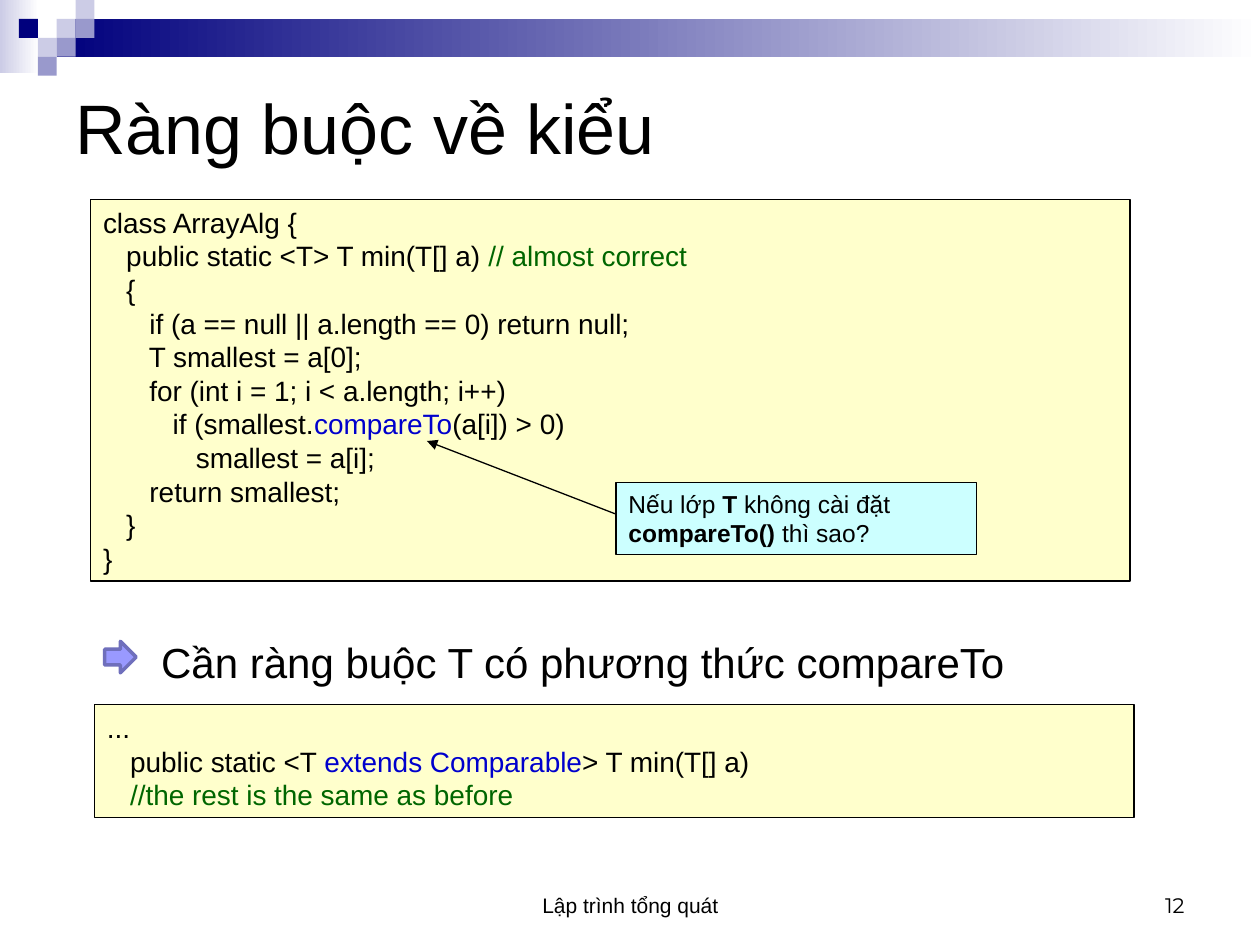
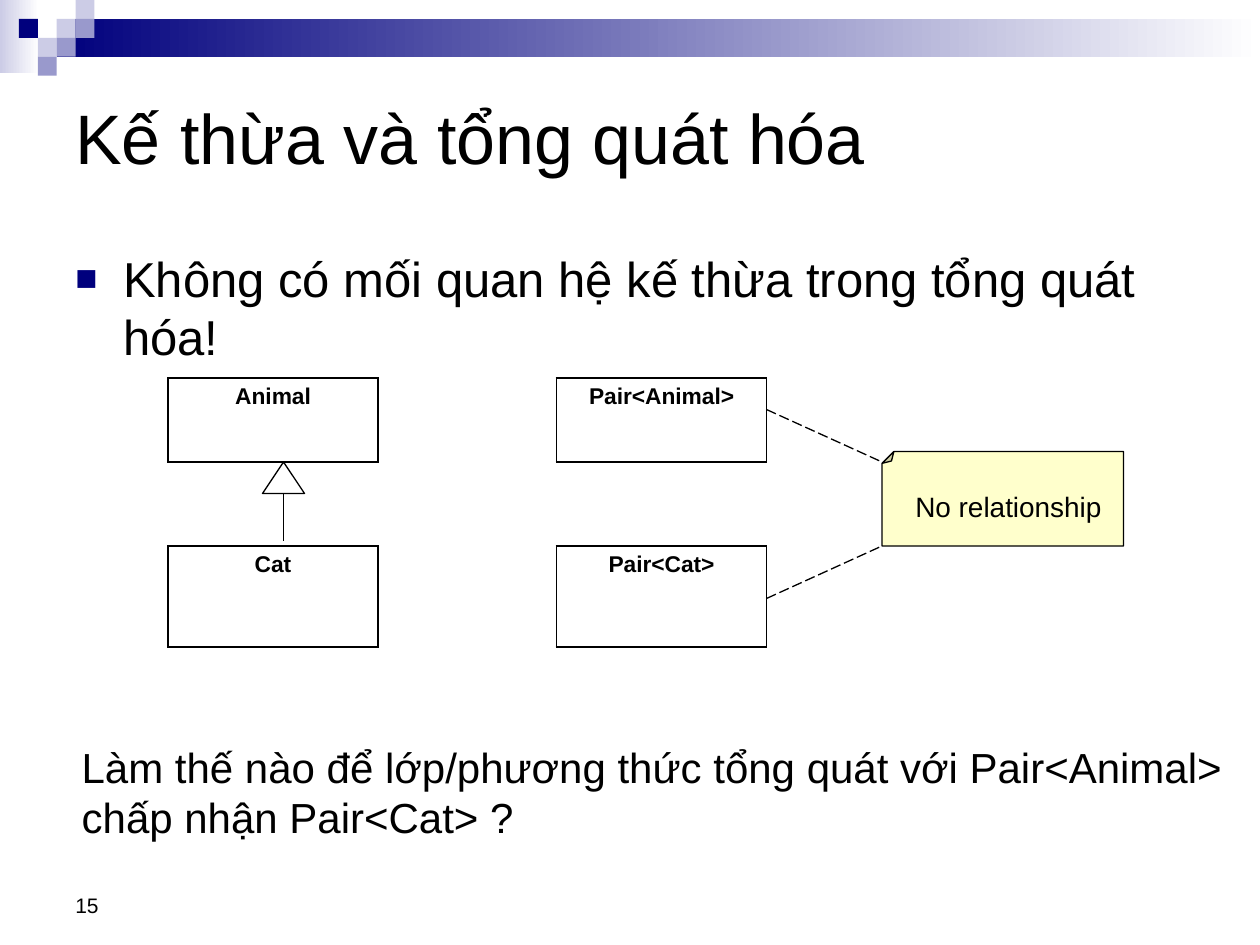
import dataclasses

import lxml.etree
import pptx
import pptx.dml.color
import pptx.enum.dml
import pptx.enum.shapes
import pptx.enum.text
import pptx.oxml.ns
import pptx.util

Pt = pptx.util.Pt
qn = pptx.oxml.ns.qn
PRESET = pptx.enum.shapes.MSO_SHAPE
ALIGN = pptx.enum.text.PP_ALIGN
ANCHOR = pptx.enum.text.MSO_ANCHOR
GROW = pptx.enum.text.MSO_AUTO_SIZE.SHAPE_TO_FIT_TEXT


@dataclasses.dataclass(frozen=True)
class Theme:
    """Colours, fonts and type sizes shared by the slides."""
    ink: str = "000000"
    paper: str = "FFFFFF"
    navy: str = "00007D"
    lilac: str = "9999CC"
    mist: str = "CCCCE6"
    code_fill: str = "FFFFCC"
    callout_fill: str = "CCFFFF"
    arrow_fill: str = "9999FF"
    arrow_line: str = "6F6FBC"
    comment: str = "006600"
    keyword: str = "0000CC"
    font: str = "Arial"
    number_font: str = "Montserrat"
    title_size: float = 40
    body_size: float = 28
    remark_size: float = 24
    code_size: float = 16
    callout_size: float = 14
    class_size: float = 13
    footer_size: float = 12
    thin: float = 0.75
    border: float = 1.08


THEME = Theme()
COMMENT = {"color": THEME.comment}
KEYWORD = {"color": THEME.keyword}
BOLD = {"bold": True}


def rgb(value):
    """Return a colour object for a hex value."""
    return pptx.dml.color.RGBColor.from_string(value)


def apply(target, formats):
    """Set each format value on the target."""
    for name, value in formats.items():
        setattr(target, name, value)


def write(frame, paragraphs, size, align=ALIGN.LEFT, font=THEME.font, bold=False):
    """Fill a text frame; a paragraph is a list of strings or (string, style) pairs."""
    for index, pieces in enumerate(paragraphs):
        paragraph = frame.paragraphs[0] if index == 0 else frame.add_paragraph()
        paragraph.alignment = align
        for piece in pieces:
            words, style = (piece, {}) if isinstance(piece, str) else piece
            run = paragraph.add_run()
            run.text = words
            apply(run.font, {"name": font, "size": Pt(size), "bold": style.get("bold", bold)})
            run.font.color.rgb = rgb(style.get("color", THEME.ink))


def add_preset(slide, preset, box, fill=None, line=None, weight=THEME.thin):
    """Add a preset shape without shadow."""
    shape = slide.shapes.add_shape(preset, *map(Pt, box))
    shape.shadow.inherit = False
    if fill:
        shape.fill.solid()
        shape.fill.fore_color.rgb = rgb(fill)
    else:
        shape.fill.background()
    if line:
        shape.line.color.rgb = rgb(line)
        shape.line.width = Pt(weight)
    else:
        shape.line.fill.background()
    return shape


def add_fade(slide, box, start):
    """Add a rectangle that fades from a colour to the paper."""
    fade = add_preset(slide, PRESET.RECTANGLE, box)
    fade.fill.gradient()
    fade.fill.gradient_angle = 0
    for stop, color in zip(fade.fill.gradient_stops, (start, THEME.paper)):
        stop.color.rgb = rgb(color)


def add_text(slide, box, paragraphs, size, frame_formats=None, **style):
    """Add a text box and return its frame."""
    frame = slide.shapes.add_textbox(*map(Pt, box)).text_frame
    apply(frame, {"word_wrap": True, **(frame_formats or {})})
    write(frame, paragraphs, size, **style)
    return frame


def add_panel(slide, box, paragraphs, fill, size):
    """Add a filled and outlined box of left-aligned text."""
    panel = add_preset(slide, PRESET.RECTANGLE, box, fill, THEME.ink)
    apply(panel.text_frame, {"word_wrap": True, "auto_size": GROW, "vertical_anchor": ANCHOR.TOP})
    write(panel.text_frame, paragraphs, size)


def add_note(slide, box):
    """Add a sheet with its top left corner folded."""
    sheet = add_preset(slide, PRESET.FOLDED_CORNER, box, THEME.code_fill, THEME.ink)
    sheet.rotation = 180
    guides = sheet._element.spPr.find(qn("a:prstGeom")).get_or_add_avLst()
    lxml.etree.SubElement(guides, qn("a:gd"), name="adj", fmla="val 12500")


def add_line(slide, start, end, dash=None, arrow=False):
    """Add a thin straight line, dashed or with an arrowhead on request."""
    line = slide.shapes.add_connector(
        pptx.enum.shapes.MSO_CONNECTOR.STRAIGHT, *map(Pt, start + end))
    line.line.color.rgb = rgb(THEME.ink)
    apply(line.line, {"width": Pt(THEME.thin), "dash_style": dash})
    properties = line._element.spPr
    if arrow:
        lxml.etree.SubElement(properties.find(qn("a:ln")), qn("a:tailEnd"), type="triangle")
    lxml.etree.SubElement(properties, qn("a:effectLst"))


def add_class_box(slide, box, name, fill=None):
    """Add a one-cell table that stands for a class."""
    table = slide.shapes.add_table(1, 1, *map(Pt, box)).table
    apply(table, {"first_row": False, "horz_banding": False})
    cell = table.cell(0, 0)
    write(cell.text_frame, [[name]], THEME.class_size, align=ALIGN.CENTER, bold=True)
    properties = cell._tc.get_or_add_tcPr()
    for side in ("a:lnL", "a:lnR", "a:lnT", "a:lnB"):
        edge = lxml.etree.SubElement(properties, qn(side), w=str(Pt(THEME.border)))
        paint = lxml.etree.SubElement(edge, qn("a:solidFill"))
        lxml.etree.SubElement(paint, qn("a:srgbClr"), val=THEME.ink)
    if fill:
        cell.fill.solid()
        cell.fill.fore_color.rgb = rgb(fill)
    else:
        cell.fill.background()


def add_bullet(paragraph):
    """Give a paragraph the square bullet and its hanging indent."""
    properties = paragraph._p.get_or_add_pPr()
    indent = Pt(27.4)
    properties.set("marL", str(indent))
    properties.set("indent", str(-indent))
    color = lxml.etree.SubElement(properties, qn("a:buClr"))
    lxml.etree.SubElement(color, qn("a:srgbClr"), val=THEME.navy)
    lxml.etree.SubElement(properties, qn("a:buSzPct"), val="75000")
    lxml.etree.SubElement(properties, qn("a:buFont"), typeface=THEME.font)
    lxml.etree.SubElement(properties, qn("a:buChar"), char="■")


def add_band(slide):
    """Draw the fading band and its mosaic of squares."""
    unit = 10.8
    add_fade(slide, (0, 0, 22.3, 41.8), THEME.mist)
    add_fade(slide, (3 * unit, unit, 720 - 3 * unit, 2 * unit), THEME.navy)
    mosaic = {
        THEME.mist: [(3, 1), (4, 0), (2, 2)],
        THEME.lilac: [(4, 1), (3, 2), (2, 3)],
        THEME.navy: [(1, 1)],
    }
    for color, tiles in mosaic.items():
        for column, row in tiles:
            add_preset(slide, PRESET.RECTANGLE, (column * unit, row * unit, unit, unit), color)


def add_footer(slide, left, width, words, **style):
    """Add a footer text at the bottom of the slide."""
    add_text(slide, (left, 491.8, width, 36), [[words]], THEME.footer_size,
             {"vertical_anchor": ANCHOR.BOTTOM}, **style)


def start_slide(deck, title, top):
    """Add a blank slide with the band and a title."""
    slide = deck.slides.add_slide(deck.slide_layouts[6])
    add_band(slide)
    add_text(slide, (36, top, 648, 84), [[title]], THEME.title_size,
             {"vertical_anchor": ANCHOR.MIDDLE})
    return slide


def build_type_bounds(deck):
    """Build the slide on bounds for type variables."""
    slide = start_slide(deck, "Ràng buộc về kiểu", 30.2)
    min_code = [
        ["class ArrayAlg {"],
        ["   public static <T> T min(T[] a) ", ("// almost correct", COMMENT)],
        ["   {"],
        ["      if (a == null || a.length == 0) return null;"],
        ["      T smallest = a[0];"],
        ["      for (int i = 1; i < a.length; i++)"],
        ["         if (smallest.", ("compareTo", KEYWORD), "(a[i]) > 0)"],
        ["            smallest = a[i];"],
        ["      return smallest;"],
        ["   }"],
        ["}"],
    ]
    bounded_code = [
        ["..."],
        ["   public static <T ", ("extends Comparable", KEYWORD), "> T min(T[] a)"],
        [("   //the rest is the same as before", COMMENT)],
    ]
    question = [["Nếu lớp ", ("T", BOLD), " không cài đặt ", ("compareTo()", BOLD), " thì sao?"]]
    add_panel(slide, (51.8, 113.8, 594, 218.2), min_code, THEME.code_fill, THEME.code_size)
    add_panel(slide, (352, 275.8, 206, 41), question, THEME.callout_fill, THEME.callout_size)
    add_line(slide, (352, 293.8), (244, 252), arrow=True)
    add_panel(slide, (54, 402.5, 594, 64.8), bounded_code, THEME.code_fill, THEME.code_size)
    add_preset(slide, PRESET.RIGHT_ARROW, (59.8, 366.5, 18, 18),
               THEME.arrow_fill, THEME.arrow_line, 2)
    add_text(slide, (85, 360, 499.7, 36), [["Cần ràng buộc T có phương thức compareTo"]],
             THEME.remark_size, {"word_wrap": False, "auto_size": GROW})
    add_footer(slide, 246.2, 228.2, "Lập trình tổng quát", align=ALIGN.CENTER)
    add_footer(slide, 516.2, 167.8, "12", align=ALIGN.RIGHT, font=THEME.number_font)


def build_inheritance(deck):
    """Build the slide on inheritance between generic classes."""
    slide = start_slide(deck, "Kế thừa và tổng quát hóa", 36)
    statement = add_text(slide, (36, 138.2, 648, 270),
                         [["Không có mối quan hệ kế thừa trong tổng quát hóa!"]],
                         THEME.body_size)
    add_bullet(statement.paragraphs[0])
    for left, parent, child in ((96, "Animal", "Cat"), (318, "Pair<Animal>", "Pair<Cat>")):
        add_class_box(slide, (left, 216, 120, 48), parent)
        add_class_box(slide, (left, 312, 120, 57.6), child, THEME.paper)
    add_preset(slide, PRESET.ISOSCELES_TRIANGLE, (150, 264, 24, 18), line=THEME.ink)
    add_line(slide, (162, 282), (162, 309))
    add_note(slide, (504, 258, 138, 54))
    add_text(slide, (516, 276, 138, 26.6), [["No relationship"]], THEME.code_size,
             {"auto_size": GROW})
    for pair_y, note_y in ((234, 264), (342, 312)):
        add_line(slide, (438, pair_y), (504, note_y), pptx.enum.dml.MSO_LINE.LONG_DASH)
    add_text(slide, (39.6, 420, 672.5, 64.8),
             [["Làm thế nào để lớp/phương thức tổng quát với Pair<Animal>"],
              ["chấp nhận Pair<Cat> ?"]],
             THEME.remark_size, {"word_wrap": False, "auto_size": GROW})
    add_footer(slide, 36, 167.8, "15")


def main():
    """Build the deck and save it."""
    deck = pptx.Presentation()
    apply(deck, {"slide_width": Pt(720), "slide_height": Pt(540)})
    build_type_bounds(deck)
    build_inheritance(deck)
    deck.save("out.pptx")


if __name__ == "__main__":
    main()
